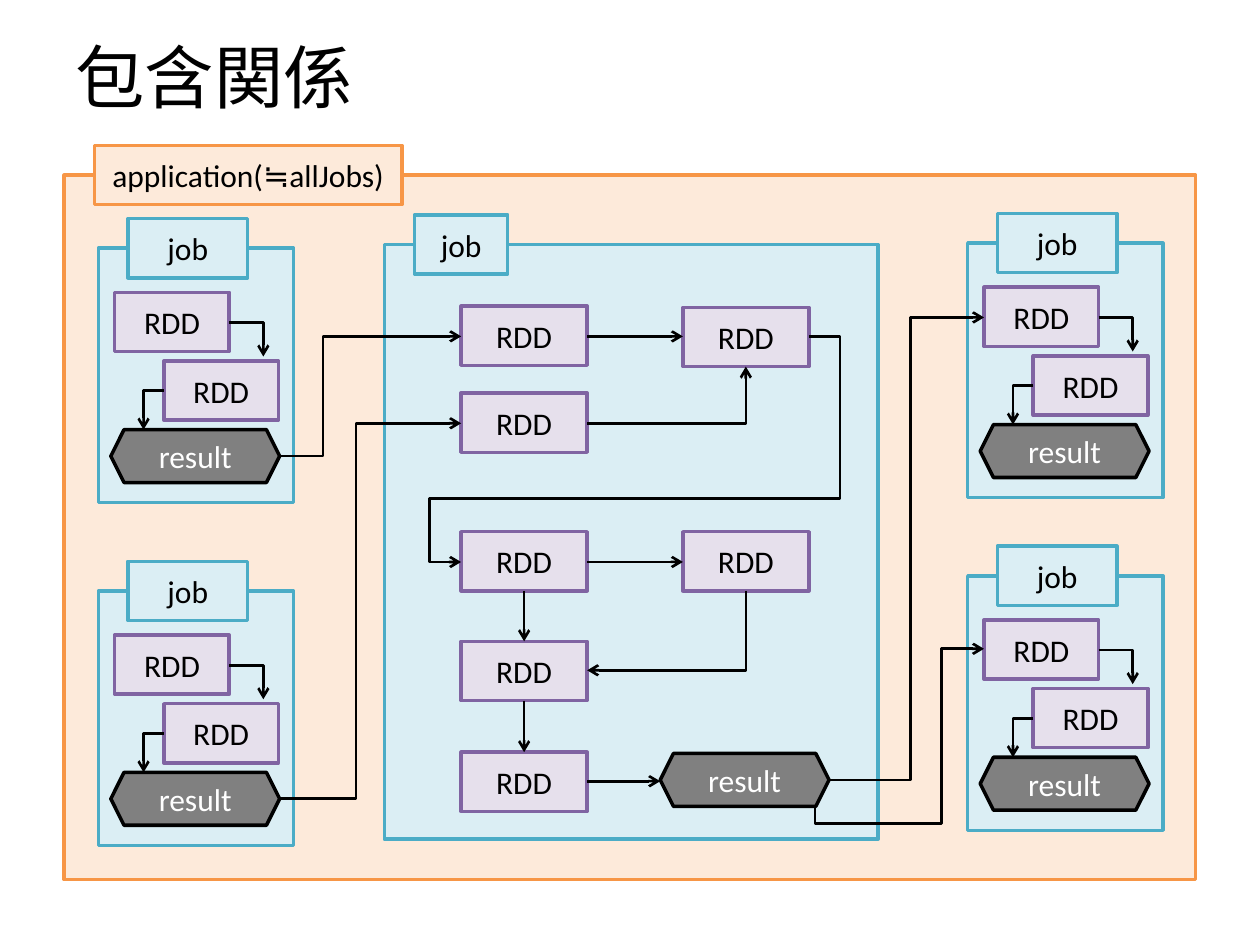
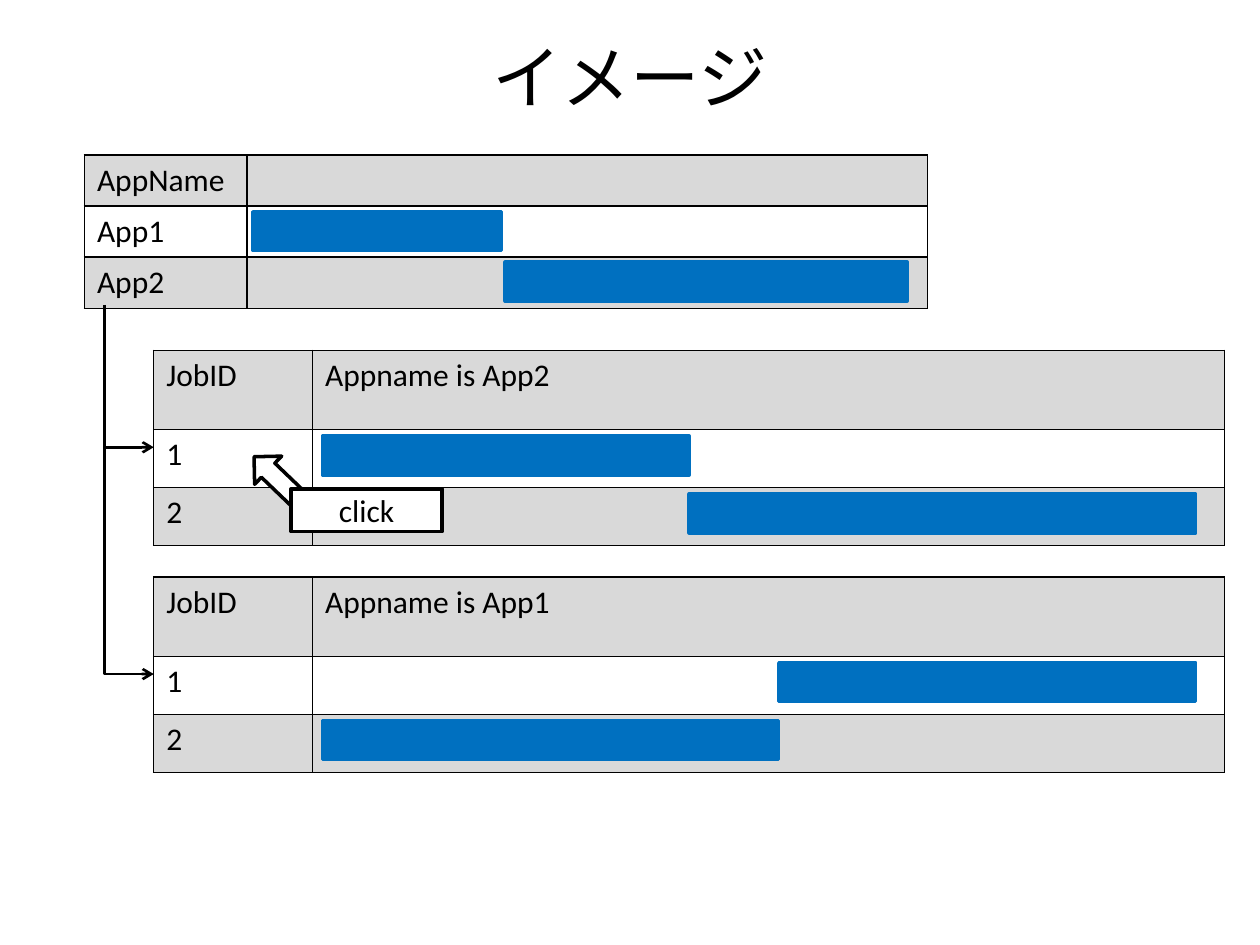
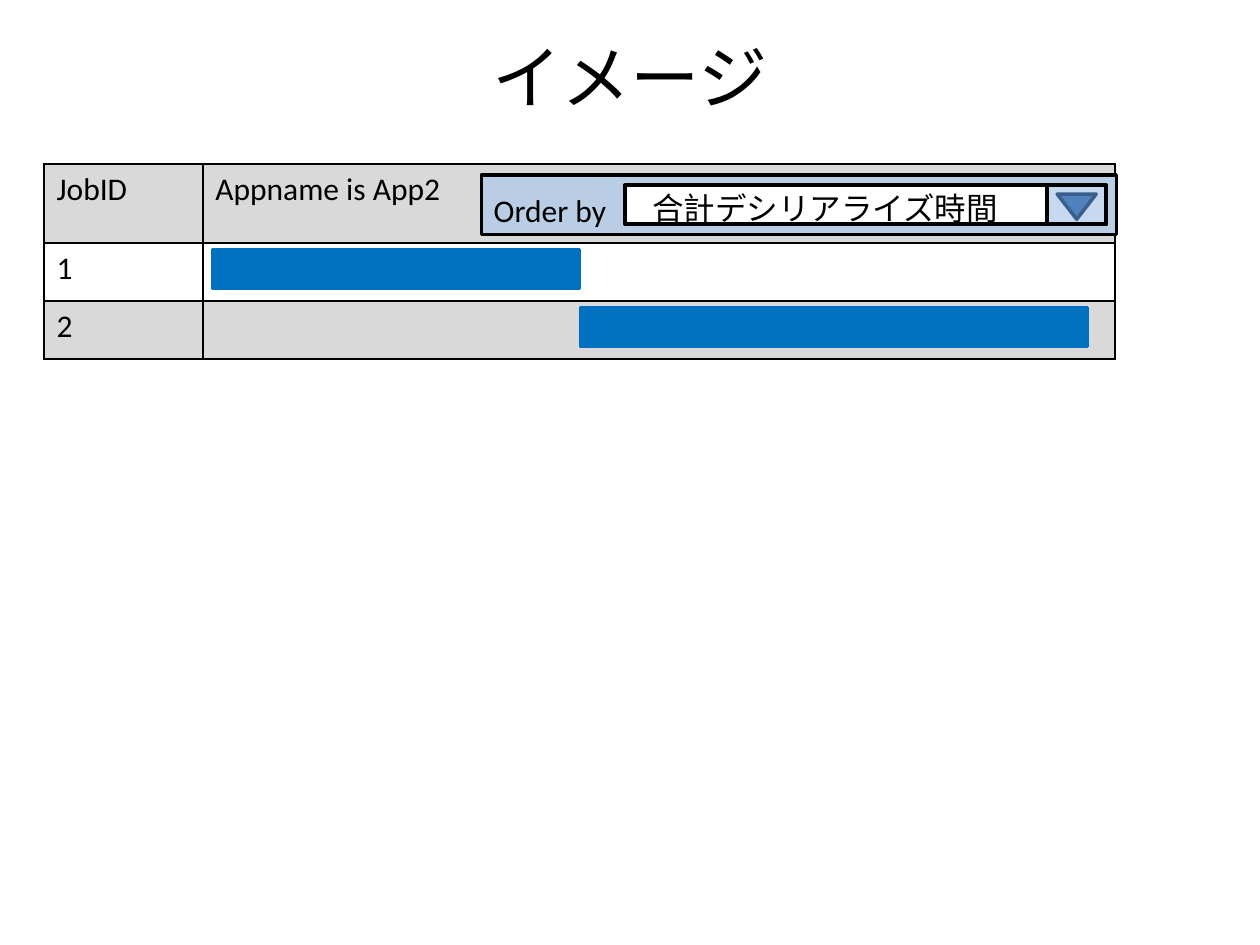
from dataclasses import dataclass

from lxml import etree
from pptx import Presentation
from pptx import util as u
from pptx.dml.color import RGBColor
from pptx.enum import shapes, text
from pptx.oxml.ns import qn


@dataclass(frozen=True)
class Theme:
    font: str = "Calibri"
    title: float = 39.6
    body: float = 18
    outline: float = 2
    arrow: float = 1.5
    border: float = 1
    ink: str = "000000"
    paper: str = "FFFFFF"
    app: tuple = ("FDEADA", "F79646")
    job: tuple = ("DBEEF4", "4BACC6")
    rdd: tuple = ("E6E0EC", "8064A2")
    result: tuple = ("808080", "000000")
    plain: tuple = ("FFFFFF", "000000")
    bar: tuple = ("0070C0", "0070C0")
    panel: tuple = ("B9CDE5", "000000")
    button: tuple = ("C6D9F1", "000000")
    marker: tuple = ("4F81BD", "3A5F8C")
    stripe: str = "D9D9D9"


T = Theme()
COLS, ROWS = 100, 75
G = shapes.MSO_SHAPE
LEFT, CENTER = text.PP_ALIGN.LEFT, text.PP_ALIGN.CENTER
RDD_H, RESULT_W, RESULT_H, BAR_H = 4.7, 13.4, 4.2, 3.1
JOB_COLS, JOB_ROWS = (12.6, 72.4), (6.3, 4.6, 4.6)


def grid(*units):
    return [u.Inches(n / 10) for n in units]


def rgb(value):
    return RGBColor.from_string(value)


def write(tf, words, size=T.body, color=T.ink, align=LEFT):
    p = tf.paragraphs[0]
    p.alignment = align
    r = p.add_run()
    r.text = words
    r.font.name = T.font
    r.font.size = u.Pt(size)
    r.font.color.rgb = rgb(color)


def new_slide(prs, title, align=CENTER):
    s = prs.slides.add_slide(prs.slide_layouts[5])
    sp = s.shapes.title
    sp.left, sp.top, sp.width, sp.height = grid(5, 3, 90, 6.1)
    tf = sp.text_frame
    tf.auto_size = text.MSO_AUTO_SIZE.NONE
    tf.vertical_anchor = text.MSO_ANCHOR.MIDDLE
    write(tf, title, size=T.title, align=align)
    return s


def block(s, x, y, w, h, colors, words="", shape=G.RECTANGLE, ink=T.ink, turn=0):
    sp = s.shapes.add_shape(shape, *grid(x, y, w, h))
    fill, line = colors
    sp.shadow.inherit = False
    sp.fill.solid()
    sp.fill.fore_color.rgb = rgb(fill)
    sp.line.color.rgb = rgb(line)
    sp.line.width = u.Pt(T.outline)
    sp.rotation = turn
    if words:
        sp.text_frame.vertical_anchor = text.MSO_ANCHOR.MIDDLE
        write(sp.text_frame, words, color=ink, align=CENTER)


def label(s, x, y, w, h, words):
    tf = s.shapes.add_textbox(*grid(x, y, w, h)).text_frame
    tf.word_wrap = True
    write(tf, words)


def arrow(s, start, end, bends=0, adj=(), down=False):
    (x1, y1), (x2, y2) = start, end
    if down:
        cx, cy, dx, dy = (x1 + x2) / 2, (y1 + y2) / 2, x2 - x1, y2 - y1
        x1, y1, x2, y2 = cx - dy / 2, cy + dx / 2, cx + dy / 2, cy - dx / 2
    kind = shapes.MSO_CONNECTOR.ELBOW if bends else shapes.MSO_CONNECTOR.STRAIGHT
    c = s.shapes.add_connector(kind, *grid(x1, y1, x2, y2))
    c.line.color.rgb = rgb(T.ink)
    c.line.width = u.Pt(T.arrow)
    pr = c._element.spPr
    if down:
        pr.find(qn("a:xfrm")).set("rot", "5400000")
    if bends:
        geom = pr.find(qn("a:prstGeom"))
        geom.set("prst", f"bentConnector{bends + 1}")
        guides = geom.find(qn("a:avLst"))
        if guides is None:
            guides = etree.SubElement(geom, qn("a:avLst"))
        for i, share in enumerate(adj, 1):
            etree.SubElement(guides, qn("a:gd"), name=f"adj{i}",
                             fmla=f"val {round(share * 100000)}")
    etree.SubElement(pr.find(qn("a:ln")), qn("a:tailEnd"), type="arrow")
    etree.SubElement(pr, qn("a:effectLst"))


def rdd(s, x, y, w=10):
    block(s, x, y, w, RDD_H, T.rdd, "RDD")


def result(s, x, y):
    block(s, x, y, RESULT_W, RESULT_H, T.result, "result", G.HEXAGON, T.paper)


def frame(s, x, y, w, h, colors, words, tab_w, tab_x):
    block(s, x, y, w, h, colors)
    block(s, x + tab_x, y - RDD_H / 2, tab_w, RDD_H, colors, words)


def small_job(s, x, y):
    frame(s, x, y, 15.5, 20.2, T.job, "job", 9.5, 2.35)
    rdd(s, x + 1.3, y + 3.5, 9.1)
    result(s, x + 1, y + 14.4)
    rdd(s, x + 5.2, y + 8.95, 9.1)
    arrow(s, (x + 10.4, y + 5.9), (x + 13.1, y + 8.6), 1)
    arrow(s, (x + 5.2, y + 11.3), (x + 3.6, y + 14.4), 1)


def edge(cell, side):
    ln = etree.SubElement(cell._tc.get_or_add_tcPr(), qn(f"a:ln{side}"),
                          w=str(u.Pt(T.border)))
    fill = etree.SubElement(ln, qn("a:solidFill"))
    etree.SubElement(fill, qn("a:srgbClr"), val=T.ink)


def timeline(s, x, y, cols, rows, names, caption, bars):
    tb = s.shapes.add_table(len(rows), len(cols),
                            *grid(x, y, sum(cols), sum(rows))).table
    tb.first_row = tb.horz_banding = False
    for col, w in zip(tb.columns, grid(*cols)):
        col.width = w
    for row, h in zip(tb.rows, grid(*rows)):
        row.height = h
    for i, name in enumerate(names):
        for j, words in enumerate((name, "" if i else caption)):
            cell = tb.cell(i, j)
            for side in "LRTB":
                edge(cell, side)
            cell.fill.solid()
            cell.fill.fore_color.rgb = rgb(T.paper if i % 2 else T.stripe)
            if words:
                write(cell.text_frame, words)
    for i, (left, w) in enumerate(bars, 1):
        block(s, x + left, y + sum(rows[:i]) + 0.5, w, BAR_H, T.bar)


def jobs(s, x, y, app, bars):
    timeline(s, x, y, JOB_COLS, JOB_ROWS, ("JobID", "1", "2"),
             f"Appname is {app}", bars)


def containment(prs):
    s = new_slide(prs, "包含関係", LEFT)
    frame(s, 5.1, 13.9, 89.8, 55.9, T.app, "application(≒allJobs)", 24.4, 2.4)
    frame(s, 30.5, 19.4, 39.2, 47.2, T.job, "job", 7.4, 2.4)
    for x, y in ((7.8, 19.7), (7.8, 46.9), (76.8, 19.3), (76.8, 45.7)):
        small_job(s, x, y)
    near, far = 36.6, 54.2
    for y in (24.3, 31.2, 42.2, 50.9, 59.7):
        rdd(s, near, y)
    for y in (24.4, 42.2):
        rdd(s, far, y)
    result(s, 52.4, 59.8)
    for y in (26.7, 44.6):
        arrow(s, (near + 10, y), (far, y))
    arrow(s, (near + 10, 62), (52.4, 62))
    for top, bottom in ((46.9, 50.9), (55.6, 59.7)):
        arrow(s, (near + 5, top), (near + 5, bottom))
    arrow(s, (22.2, 36.2), (near, 26.7), 2, (0.24,))
    arrow(s, (22.2, 63.4), (near, 33.6), 2, (0.42,))
    arrow(s, (near + 10, 33.6), (far + 5, 29.1), 1)
    arrow(s, (far + 10, 26.7), (near, 44.6), 4, (-0.09, 0.72, 1.09))
    arrow(s, (far + 5, 46.9), (near + 10, 53.2), 1, down=True)
    arrow(s, (65.7, 61.9), (78.1, 25.2), 2, (0.53,))
    arrow(s, (64.7, 64.1), (78.1, 51.5), 3, (-0.1, 0.75), down=True)


def app_and_jobs(prs):
    s = new_slide(prs, "イメージ")
    timeline(s, 6.7, 12.3, (12.9, 54), (4, 4, 4), ("AppName", "App1", "App2"),
             "", ((13.4, 19.7), (33.4, 31.9)))
    jobs(s, 12.2, 27.8, "App2", ((13.4, 29.1), (42.5, 40.2)))
    jobs(s, 12.2, 45.8, "App1", ((49.6, 33.1), (13.4, 36.2)))
    arrow(s, (8.3, 24.2), (12.2, 35.5), 1, down=True)
    arrow(s, (8.3, 35.5), (12.2, 53.5), 1, down=True)
    block(s, 20.6, 35.4, 3.1, 5.5, T.plain, shape=G.UP_ARROW, turn=313.8)
    block(s, 23.1, 38.8, 12, 3.4, T.plain, "click")


def ordered_jobs(prs):
    s = new_slide(prs, "イメージ")
    jobs(s, 3.5, 13, "App2", ((13.4, 29.1), (42.6, 40.2)))
    block(s, 38.2, 13.9, 50.4, 4.7, T.panel)
    label(s, 38.2, 14.7, 13.8, 4, "Order by")
    block(s, 49.6, 14.7, 38.2, 3.1, T.plain)
    label(s, 50.8, 14.5, 30.7, 4, "合計デシリアライズ時間")
    block(s, 83.1, 14.7, 4.7, 3.1, T.button)
    block(s, 83.9, 15.4, 3.1, 2, T.marker, shape=G.ISOSCELES_TRIANGLE, turn=180)


def main():
    prs = Presentation()
    prs.slide_width, prs.slide_height = grid(COLS, ROWS)
    containment(prs)
    app_and_jobs(prs)
    ordered_jobs(prs)
    prs.save("out.pptx")


if __name__ == "__main__":
    main()
